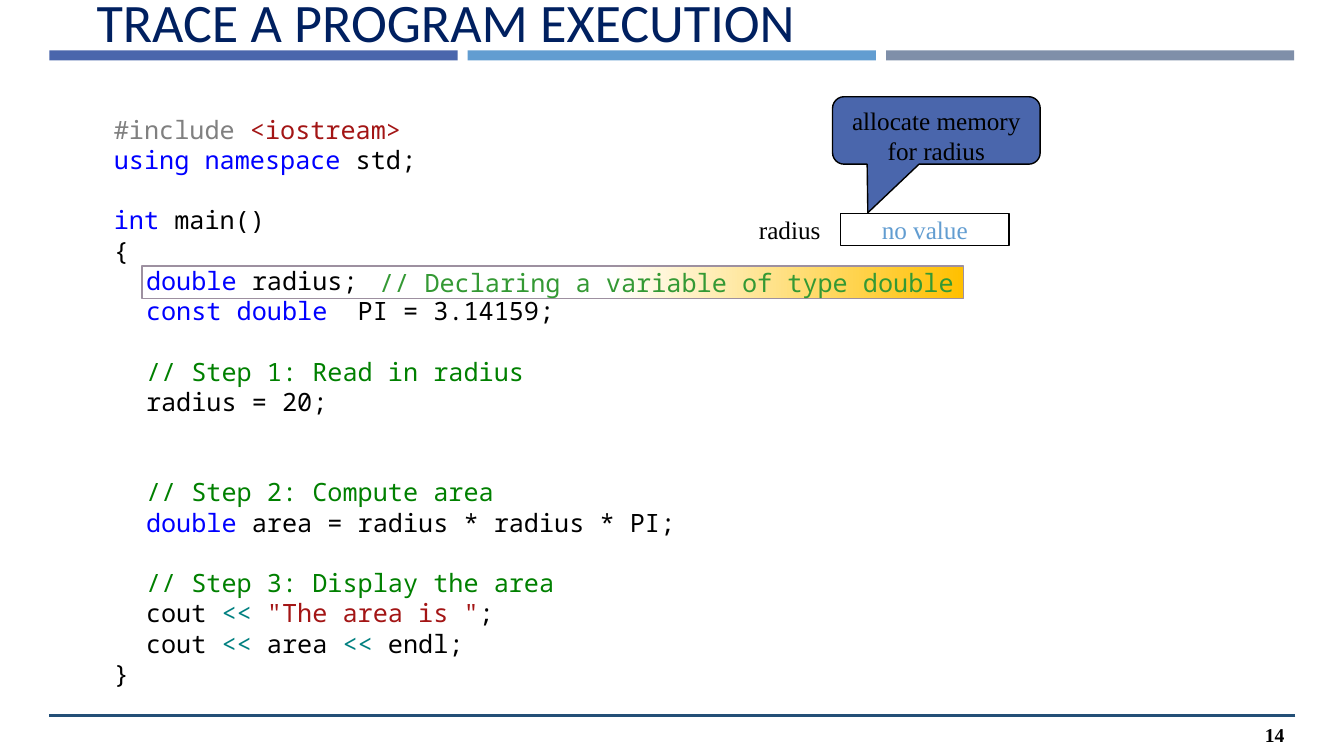
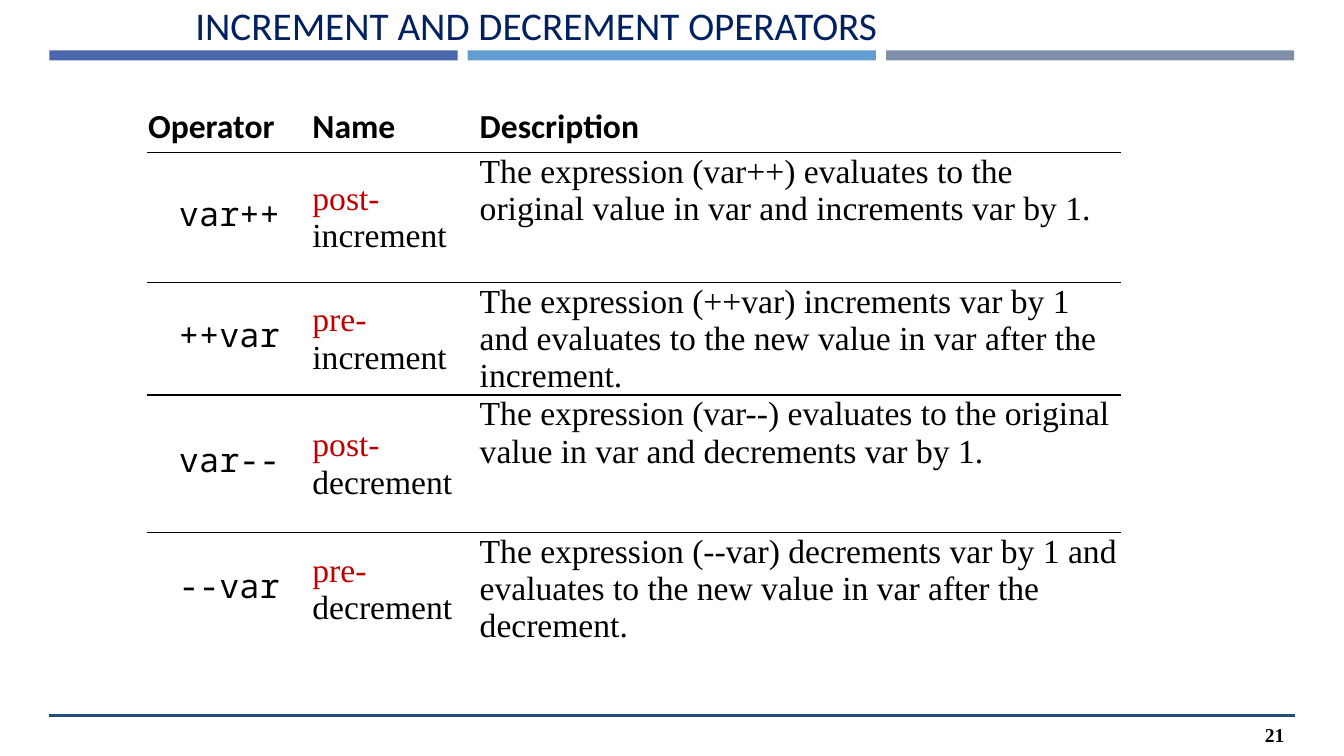
"""Build two lecture slides: a program trace and a table of operators."""
from lxml import etree
from pptx import Presentation
from pptx.dml.color import RGBColor
from pptx.enum import shapes, text
from pptx.oxml import ns
from pptx.util import Pt

COLOURS = {
    "black": "000000", "white": "FFFFFF", "title": "002060", "rule": "234F77",
    "indigo": "4A66AC", "sky": "629DD1", "slate": "7F8FA9", "amber": "FFC000",
    "mauve": "9D90A0", "red": "C00000", "keyword": "0000FF", "string": "A31515",
    "directive": "808080", "comment": "008000", "operator": "008080", "note": "349934",
}
SANS, SERIF, MONO = "Calibri", "Times New Roman", "Noto Sans Mono"
LEFT, CENTRE, RIGHT = text.PP_ALIGN.LEFT, text.PP_ALIGN.CENTER, text.PP_ALIGN.RIGHT
TOP, MIDDLE, BOTTOM = text.MSO_ANCHOR.TOP, text.MSO_ANCHOR.MIDDLE, text.MSO_ANCHOR.BOTTOM
RECTANGLE = shapes.MSO_SHAPE.RECTANGLE

BANDS = ["indigo", "sky", "slate"]
BAND_LEFT, BAND_TOP, BAND_WIDTH, BAND_HEIGHT, BAND_PITCH = 35.3, 36, 291.6, 7.2, 298.8

CODE_LEADING, CODE_INDENT = 21.6, 23
CODE = [
    (0, 0, [("#include ", "directive"), ("<iostream>", "string")]),
    (0, 0, [("using namespace", "keyword"), (" std;", "black")]),
    (1, 0, [("int", "keyword"), (" main()", "black")]),
    (0, 0, [("{", "black")]),
    (0, 1, [("double", "keyword"), (" radius;", "black")]),
    (0, 1, [("const double  ", "keyword"), ("PI = 3.14159;", "black")]),
    (1, 1, [("// Step 1: Read in radius", "comment")]),
    (0, 1, [("radius = 20;", "black")]),
    (2, 1, [("// Step 2: Compute area", "comment")]),
    (0, 1, [("double", "keyword"), (" area = radius * radius * PI;", "black")]),
    (1, 1, [("// Step 3: Display the area", "comment")]),
    (0, 1, [("cout ", "black"), ("<< ", "operator"), ('"The area is "', "string"), (";", "black")]),
    (0, 1, [("cout ", "black"), ("<<", "operator"), (" area ", "black"), ("<< ", "operator"),
            ("endl;", "black")]),
    (0, 0, [("}", "black")]),
]

TABLE_LEFT, TABLE_LEADING = 105.1, 26.6
COLUMN_WIDTHS = [117.4, 119.5, 458.6]
HEADINGS = ["Operator", "Name", "Description"]
OPERATORS = [
    ("var++", "post-", "increment",
     "The expression (var++) evaluates to the original value in var and increments var by 1."),
    ("++var", "pre-", "increment",
     "The expression (++var) increments var by 1 and evaluates to the new value in var after the increment."),
    ("var--", "post-", "decrement",
     "The expression (var--) evaluates to the original value in var and decrements var by 1."),
    ("--var", "pre-", "decrement",
     "The expression (--var) decrements var by 1 and evaluates to the new value in var after the decrement."),
]


def rgb(name):
    return RGBColor.from_string(COLOURS[name])


def add_runs(para, runs, size, font, align=LEFT, bold=False, leading=None):
    para.alignment = align
    if leading:
        para.line_spacing = Pt(leading)
    for words, colour in runs:
        span = para.add_run()
        span.text = words
        span.font.size, span.font.name, span.font.bold = Pt(size), font, bold
        span.font.color.rgb = rgb(colour)


def set_frame(shape, anchor, wrap=True):
    frame = shape.text_frame
    frame.word_wrap, frame.vertical_anchor = wrap, anchor
    return frame


def add_label(page, at, words, size, font, colour="black", anchor=TOP, align=LEFT, bold=False, wrap=True):
    box = page.shapes.add_textbox(*map(Pt, at))
    frame = set_frame(box, anchor, wrap)
    add_runs(frame.paragraphs[0], [(words, colour)], size, font, align, bold)


def add_panel(page, kind, at, fill=None, line=None):
    panel = page.shapes.add_shape(kind, *map(Pt, at))
    panel.shadow.inherit = False
    if fill:
        panel.fill.solid()
        panel.fill.fore_color.rgb = rgb(fill)
    else:
        panel.fill.background()
    if line:
        panel.line.color.rgb = rgb(line)
        panel.line.width = Pt(1)
    else:
        panel.line.fill.background()
    return panel


def add_page(deck, title, title_at, title_size, number):
    page = deck.slides.add_slide(deck.slide_layouts[6])
    for index, colour in enumerate(BANDS):
        left = BAND_LEFT + index * BAND_PITCH
        add_panel(page, RECTANGLE, (left, BAND_TOP, BAND_WIDTH, BAND_HEIGHT), colour)
    rule = page.shapes.add_connector(
        shapes.MSO_CONNECTOR.STRAIGHT, Pt(925.2), Pt(511.2), Pt(35.3), Pt(511.2))
    rule.line.color.rgb = rgb("rule")
    rule.line.width = Pt(2.25)
    etree.SubElement(rule._element.spPr, ns.qn("a:effectLst"))
    add_label(page, (891.4, 510.5, 33.1, 28.8), number, 14, SERIF,
              anchor=MIDDLE, align=RIGHT, bold=True)
    add_label(page, title_at, title, title_size, SANS, "title", BOTTOM)
    return page


def add_code(page):
    box = page.shapes.add_textbox(Pt(74.2), Pt(77.8), Pt(437.8), Pt(431.3))
    frame = set_frame(box, TOP)
    for index, (gap, level, runs) in enumerate(CODE):
        para = frame.add_paragraph() if index else frame.paragraphs[0]
        add_runs(para, runs, 18, MONO, leading=CODE_LEADING)
        para.space_before = Pt(gap * CODE_LEADING)
        para._p.get_or_add_pPr().set("marL", str(Pt(level * CODE_INDENT)))


def build_trace(deck):
    page = add_page(deck, "TRACE A PROGRAM EXECUTION", (61.9, 0, 684, 41.8), 38.7, "14")

    memory = add_panel(page, RECTANGLE, (600.5, 152.6, 120.2, 23), line="black")
    add_runs(set_frame(memory, MIDDLE, False).paragraphs[0],
             [("no value", "sky")], 18, SERIF, CENTRE)
    add_label(page, (535, 149.8, 66.2, 28.8), "radius", 18, SERIF, wrap=False)

    highlight = add_panel(page, RECTANGLE, (101.5, 190.1, 586.8, 23), line="mauve")
    highlight.fill.gradient()
    highlight.fill.gradient_angle = 0
    for stop, position, colour in zip(highlight.fill.gradient_stops, (0.57, 1), ("white", "amber")):
        stop.position = position
        stop.color.rgb = rgb(colour)
    add_runs(set_frame(highlight, MIDDLE, False).paragraphs[0],
             [("// Declaring a variable of type double", "note")], 18, MONO, RIGHT)

    callout = add_panel(page, shapes.MSO_SHAPE.ROUNDED_RECTANGULAR_CALLOUT,
                        (594.7, 69.1, 148.3, 48.2), "indigo", "black")
    for index, value in enumerate((-0.33, 1.22, 0.17)):
        callout.adjustments[index] = value
    add_runs(set_frame(callout, TOP).paragraphs[0],
             [("allocate memory for radius", "black")], 18, SERIF, CENTRE)
    add_code(page)


def set_borders(cell, ruled):
    props = cell._tc.get_or_add_tcPr()
    for index, side in enumerate("LRTB"):
        edge = etree.Element(ns.qn("a:ln" + side), w=str(Pt(1)))
        if side in ruled:
            solid = etree.SubElement(edge, ns.qn("a:solidFill"))
            etree.SubElement(solid, ns.qn("a:srgbClr"), val=COLOURS["black"])
        else:
            etree.SubElement(edge, ns.qn("a:noFill"))
        props.insert(index, edge)


def heading_row():
    return [dict(runs=[(name, "black")], font=SANS, bold=True) for name in HEADINGS]


def operator_row(symbol, prefix, action, description):
    return [
        dict(runs=[(symbol, "black")], font=MONO, align=CENTRE),
        dict(runs=[(prefix, "red"), (action, "black")], font=SERIF),
        dict(runs=[(description, "black")], font=SERIF),
    ]


def add_operator_table(page, top, heights, rows, borders):
    graphic = page.shapes.add_table(
        len(rows), len(COLUMN_WIDTHS), Pt(TABLE_LEFT), Pt(top),
        Pt(sum(COLUMN_WIDTHS)), Pt(sum(heights)))
    table = graphic.table
    table.first_row = table.horz_banding = False
    for column, width in zip(table.columns, COLUMN_WIDTHS):
        column.width = Pt(width)
    for y, (height, row, ruled) in enumerate(zip(heights, rows, borders)):
        table.rows[y].height = Pt(height)
        for x, content in enumerate(row):
            cell = table.cell(y, x)
            cell.margin_left = cell.margin_right = cell.margin_top = Pt(0.7)
            cell.margin_bottom = 0
            is_description = x == 2 and not content.get("bold")
            cell.vertical_anchor = TOP if is_description else MIDDLE
            cell.fill.solid()
            cell.fill.fore_color.rgb = rgb("white")
            set_borders(cell, ruled)
            add_runs(cell.text_frame.paragraphs[0], size=24, leading=TABLE_LEADING, **content)


def build_operators(deck):
    page = add_page(deck, "INCREMENT AND DECREMENT OPERATORS", (132.5, -7.9, 734.4, 46.1), 28, "21")
    rows = [operator_row(*entry) for entry in OPERATORS]
    add_operator_table(page, 74.9, [34.2, 92.5], [heading_row(), rows[0]], ["B", "TB"])
    add_operator_table(page, 201.6, [80.5, 98.3, 80.5], rows[1:], ["TB", "TB", "T"])


def main():
    deck = Presentation()
    deck.slide_width, deck.slide_height = Pt(960), Pt(540)
    build_trace(deck)
    build_operators(deck)
    deck.save("out.pptx")


if __name__ == "__main__":
    main()
